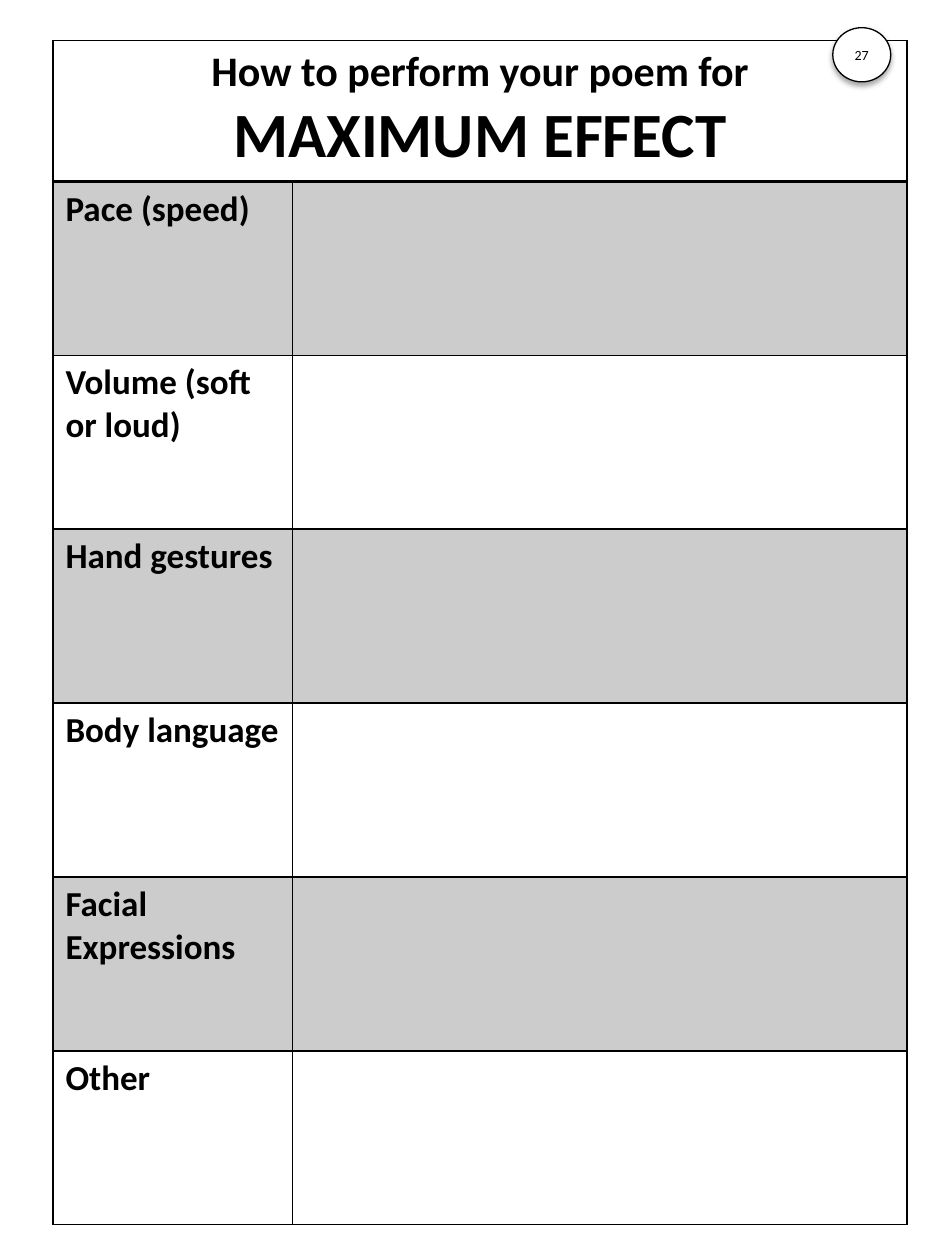
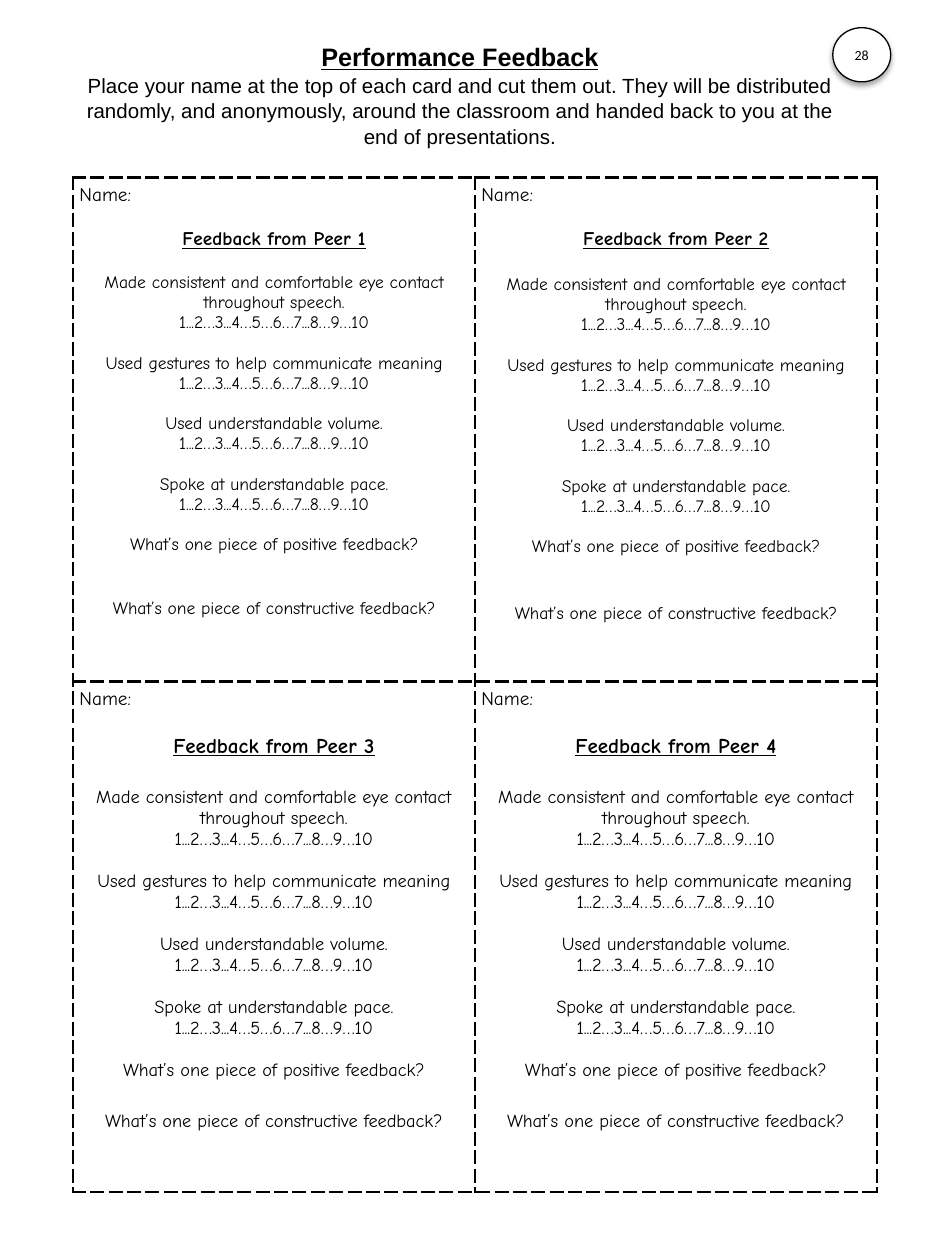
"""Build two poem performance worksheets: a planning grid and peer feedback cards."""
from dataclasses import dataclass

from lxml.etree import SubElement
from pptx import Presentation
from pptx.dml.color import RGBColor
from pptx.enum.shapes import MSO_SHAPE
from pptx.enum.text import MSO_ANCHOR, MSO_AUTO_SIZE, PP_ALIGN
from pptx.oxml.ns import qn
from pptx.util import Inches, Pt

COLORS = {"ink": "000000", "paper": "FFFFFF"}
FONTS = {"grid": "Calibri", "title": "Arial", "card": "Comic Neue"}
TITLE_ONLY, BLANK = 5, 6
LINE_HEIGHT = 1.15

ASPECTS = ["Pace (speed)", "Volume (soft or loud)", "Hand gestures",
           "Body language", "Facial Expressions", "Other"]
CRITERIA = ["Made consistent and comfortable eye contact throughout speech.",
            "Used gestures to help communicate meaning",
            "Used understandable volume.",
            "Spoke at understandable pace."]
SCALE = "1...2…3...4…5…6…7...8…9…10"
POSITIVE = "What’s one piece of positive feedback?"
CONSTRUCTIVE = "What’s one piece of constructive feedback?"
INSTRUCTIONS = ("Place your name at the top of each card and cut them out. "
                "They will be distributed randomly, and anonymously, around the "
                "classroom and handed back to you at the end of presentations.")


@dataclass
class Card:
    """A peer feedback card: text sizes and gaps in points."""
    peer: int
    head_size: float
    head_gap: float
    size: float
    answer_gap: float


CARDS = [Card(1, 11, 12.65, 10, 25), Card(2, 11, 13.8, 10, 26.8),
         Card(3, 12, 16.1, 10.5, 17), Card(4, 12, 16.1, 10.5, 17)]


def rgb(name: str) -> RGBColor:
    """Look up a named colour."""
    return RGBColor.from_string(COLORS[name])


def style(font, face: str, size: float, bold: bool = False, underline: bool = False) -> None:
    """Format the font of a paragraph or run."""
    font.name, font.size = face, Pt(size)
    font.bold, font.underline = bold, underline
    font.color.rgb = rgb("ink")


def set_border(cell, sides: str, width: float, dash: str = "solid") -> None:
    """Draw the listed sides (L, R, T, B) of a cell."""
    tcPr = cell._tc.get_or_add_tcPr()
    for side in sides:
        ln = SubElement(tcPr, qn(f"a:ln{side}"), w=str(Pt(width)))
        fill = SubElement(ln, qn("a:solidFill"))
        SubElement(fill, qn("a:srgbClr"), val=COLORS["ink"])
        SubElement(ln, qn("a:prstDash"), val=dash)


def shade(cell, percent: int) -> None:
    """Fill a cell with translucent ink."""
    cell.fill.solid()
    cell.fill.fore_color.rgb = rgb("ink")
    color = cell._tc.tcPr.find(f"{qn('a:solidFill')}/{qn('a:srgbClr')}")
    SubElement(color, qn("a:alpha"), val=str(percent * 1000))


def add_grid(s, left: float, top: float, widths: list[float], heights: list[float]):
    """Add a plain table with the given column widths and row heights."""
    frame = s.shapes.add_table(len(heights), len(widths), Inches(left), Inches(top),
                               Inches(sum(widths)), Inches(sum(heights)))
    table = frame.table
    table.first_row = table.horz_banding = False
    for column, width in zip(table.columns, widths):
        column.width = Inches(width)
    for row, height in zip(table.rows, heights):
        row.height = Inches(height)
    return table


def add_badge(s, number: int) -> None:
    """Add the round page number at the top right."""
    sp = s.shapes.add_shape(MSO_SHAPE.OVAL, Inches(6.61), Inches(0.22),
                            Inches(0.46), Inches(0.43))
    sp.fill.solid()
    sp.fill.fore_color.rgb = rgb("paper")
    sp.line.color.rgb = rgb("ink")
    sp.line.width = Pt(0.75)
    sp.shadow.inherit = False
    effects = sp._element.spPr.find(qn("a:effectLst"))
    shadow = SubElement(effects, qn("a:outerShdw"), blurRad=str(Pt(3.1)),
                        dist=str(Pt(1.8)), dir="5400000", rotWithShape="0")
    color = SubElement(shadow, qn("a:srgbClr"), val=COLORS["ink"])
    SubElement(color, qn("a:alpha"), val="35000")
    tf = sp.text_frame
    tf.vertical_anchor = MSO_ANCHOR.MIDDLE
    p = tf.paragraphs[0]
    p.text = str(number)
    p.alignment = PP_ALIGN.CENTER
    style(p.font, FONTS["grid"], 8)


def build_planner(prs) -> None:
    """Build the grid for planning a performance."""
    s = prs.slides.add_slide(prs.slide_layouts[BLANK])
    table = add_grid(s, 0.42, 0.32, [1.9, 4.88], [1.12] + [1.38] * len(ASPECTS))
    header = table.cell(0, 0)
    header.merge(table.cell(0, 1))
    for cell in (header, table.cell(0, 1)):
        set_border(cell, "LRT", 1)
        set_border(cell, "B", 2)
        cell.fill.background()
    p = header.text_frame.paragraphs[0]
    p.alignment = PP_ALIGN.CENTER
    for text, size in (("How to perform your poem for ", 24), ("MAXIMUM EFFECT", 36)):
        r = p.add_run()
        r.text = text
        style(r.font, FONTS["grid"], size, bold=True)
    for row, aspect in enumerate(ASPECTS, start=1):
        for cell in table.rows[row].cells:
            set_border(cell, "LR", 1)
            set_border(cell, "T", 2 if row == 1 else 1)
            set_border(cell, "B", 1)
            if row % 2:
                shade(cell, 20)
            else:
                cell.fill.background()
        p = table.cell(row, 0).text_frame.paragraphs[0]
        p.text = aspect
        style(p.font, FONTS["grid"], 20, bold=True)
    add_badge(s, 27)


def add_line(tf, text: str, size: float, gap: float = 0, heading: bool = False) -> None:
    """Append a centred card line below a gap in points."""
    p = tf.add_paragraph()
    p.text = text
    p.alignment = PP_ALIGN.CENTER
    p.space_before = Pt(gap)
    style(p.font, FONTS["card"], size, bold=heading, underline=heading)


def fill_card(cell, card: Card) -> None:
    """Write one feedback card into a cell."""
    set_border(cell, "LRTB", 1.5, "sysDash")
    cell.fill.background()
    cell.margin_left = cell.margin_right = Inches(0.05)
    tf = cell.text_frame
    p = tf.paragraphs[0]
    p.text = "Name:"
    style(p.font, FONTS["card"], 11)
    add_line(tf, f"Feedback from Peer {card.peer}", card.head_size,
             card.head_size * LINE_HEIGHT, heading=True)
    group_gap = card.size * LINE_HEIGHT
    for i, criterion in enumerate(CRITERIA):
        add_line(tf, criterion, card.size, group_gap if i else card.head_gap)
        add_line(tf, SCALE, card.size)
    add_line(tf, POSITIVE, card.size, group_gap)
    add_line(tf, CONSTRUCTIVE, card.size, card.answer_gap)


def build_feedback(prs) -> None:
    """Build the sheet of four cut-out feedback cards."""
    s = prs.slides.add_slide(prs.slide_layouts[TITLE_ONLY])
    title = s.shapes.title
    title.left, title.top = Inches(0.58), Inches(0.33)
    title.width, title.height = Inches(6.14), Inches(0.84)
    tf = title.text_frame
    tf.auto_size = MSO_AUTO_SIZE.NONE
    tf.word_wrap = True
    tf.vertical_anchor = MSO_ANCHOR.MIDDLE
    tf.margin_left = tf.margin_right = Inches(0.1)
    tf.margin_top = tf.margin_bottom = Inches(0.05)
    p = tf.paragraphs[0]
    p.alignment = PP_ALIGN.CENTER
    p.line_spacing = 1.04
    r = p.add_run()
    r.text = "Performance Feedback"
    style(r.font, FONTS["title"], 14.4, bold=True, underline=True)
    p.add_line_break()
    r = p.add_run()
    r.text = INSTRUCTIONS
    style(r.font, FONTS["title"], 11.7)
    table = add_grid(s, 0.58, 1.41, [3.19, 3.19], [4, 4.05])
    for cell, card in zip(table.iter_cells(), CARDS):
        fill_card(cell, card)
    add_badge(s, 28)


def main() -> None:
    """Build and save the presentation."""
    prs = Presentation()
    prs.slide_width, prs.slide_height = Inches(7.5), Inches(10)
    build_planner(prs)
    build_feedback(prs)
    prs.save("out.pptx")


if __name__ == "__main__":
    main()
